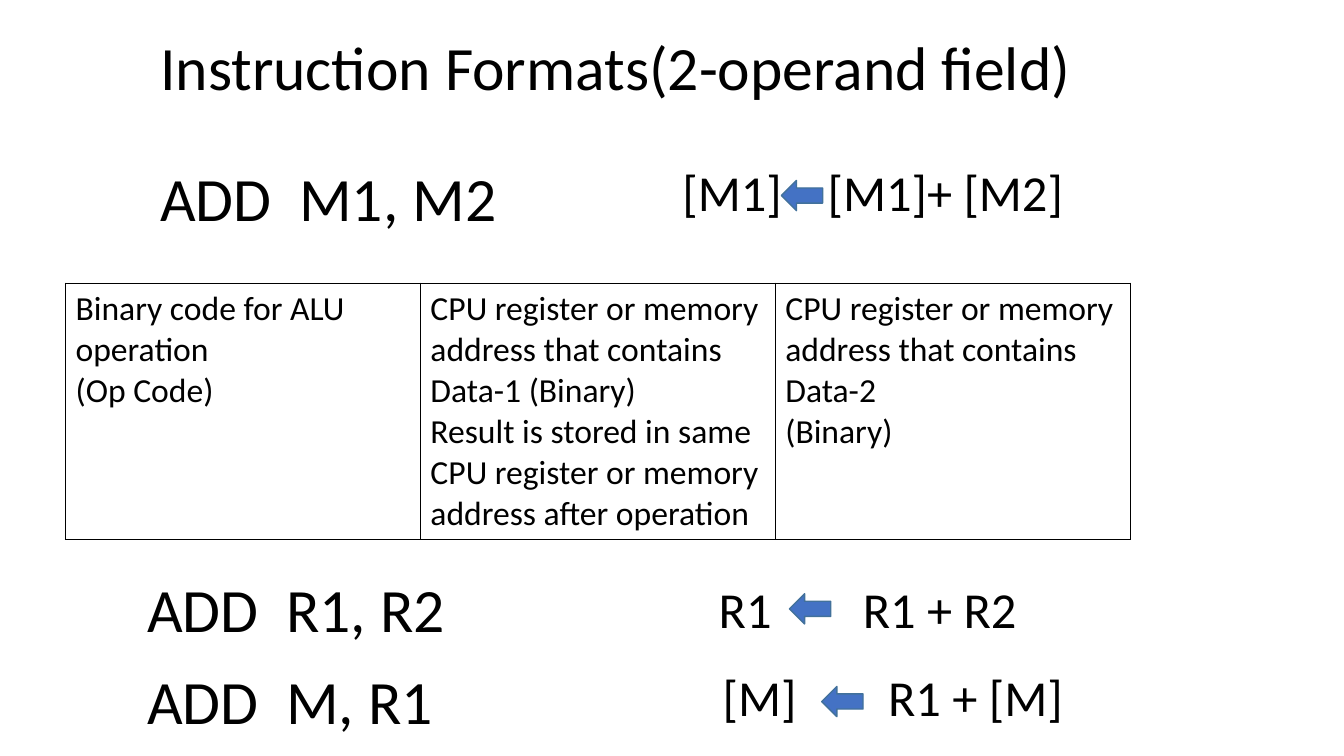
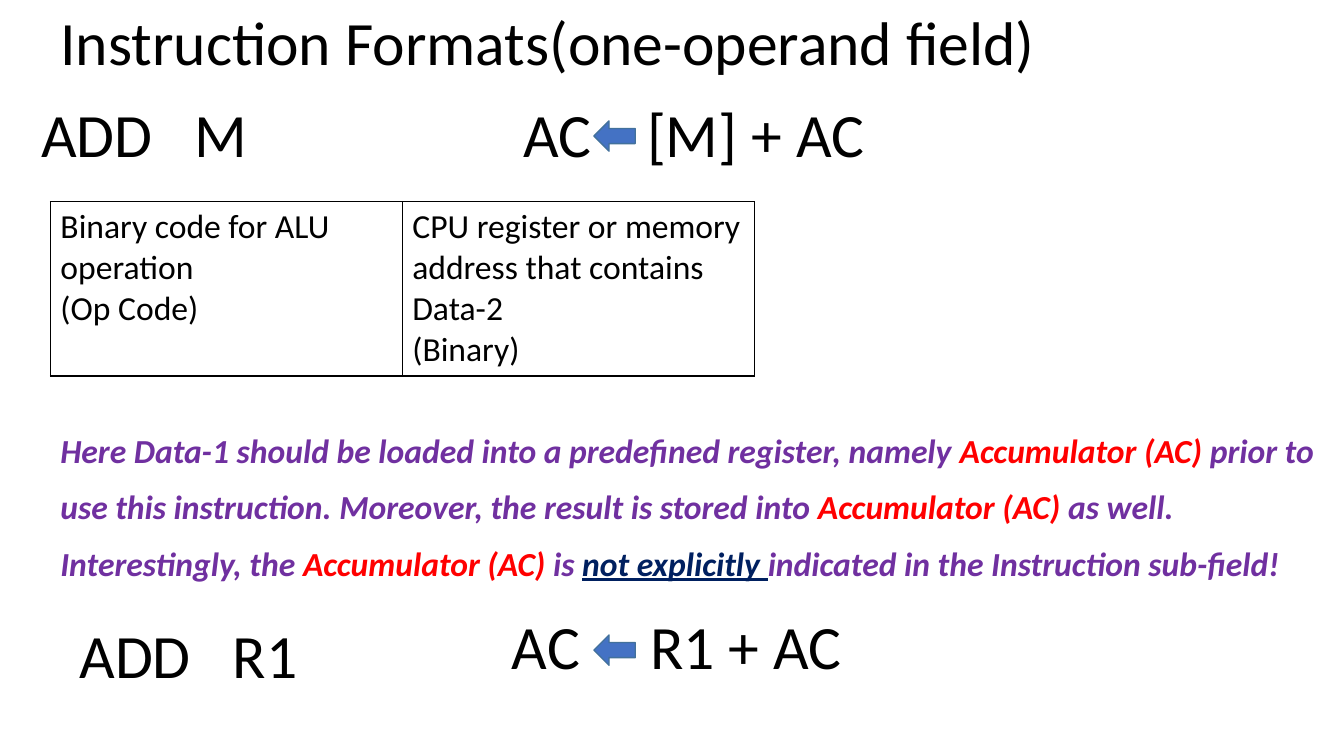
import pptx
import pptx.util
import pptx.dml.color
import pptx.enum.shapes
import pptx.enum.text
import pptx.oxml.ns
from lxml import etree

Inches = pptx.util.Inches
Pt = pptx.util.Pt

COLOURS = {
    "text": "000000",
    "arrow": "4472C4",
    "arrow_line": "42719B",
    "note": "7030A0",
    "accumulator": "FF0000",
    "emphasis": "002060",
}
FONT = "Calibri"
TITLE_ONLY = 5
ROW_HEIGHT = 0.91

OP_CODE = ["Binary code for ALU operation", "(Op Code)"]
FIRST_OPERAND = [
    "CPU register or memory address that contains Data-1 (Binary)",
    "Result is stored in same CPU register or memory address after operation",
]
SECOND_OPERAND = ["CPU register or memory address that contains Data-2", "(Binary)"]


def rgb(name):
    return pptx.dml.color.RGBColor.from_string(COLOURS[name])


def add_child(parent, tag, **attributes):
    child = etree.SubElement(parent, pptx.oxml.ns.qn(tag))
    for key, value in attributes.items():
        child.set(key, str(value))
    return child


def write(para, text, size=44, colour="text", bold=False, italic=False,
          underline=False, spacing=None, tab=None):
    """Append a formatted run; tab is a stop in inches from the text's left edge."""
    if tab:
        stops = add_child(para._p.get_or_add_pPr(), "a:tabLst")
        add_child(stops, "a:tab", pos=Inches(tab), algn="l")
    if spacing:
        para.line_spacing = spacing
    span = para.add_run()
    span.text = text
    font = span.font
    font.name = FONT
    font.size = Pt(size)
    font.bold = bold
    font.italic = italic
    font.underline = underline
    font.color.rgb = rgb(colour)


def prepare_frame(box):
    """Set the wrapping and alignment shared by titles and text boxes."""
    frame = box.text_frame
    frame.word_wrap = True
    frame.auto_size = pptx.enum.text.MSO_AUTO_SIZE.NONE
    frame.vertical_anchor = pptx.enum.text.MSO_ANCHOR.MIDDLE
    para = frame.paragraphs[0]
    para.alignment = pptx.enum.text.PP_ALIGN.LEFT
    return para


def add_page(deck, title, left, top, width):
    page = deck.slides.add_slide(deck.slide_layouts[TITLE_ONLY])
    box = page.shapes.title
    box.left, box.top = Inches(left), Inches(top)
    box.width, box.height = Inches(width), Inches(ROW_HEIGHT)
    write(prepare_frame(box), title, spacing=0.9)
    return page


def add_box(page, left, top, width, height):
    box = page.shapes.add_textbox(
        Inches(left), Inches(top), Inches(width), Inches(height))
    return prepare_frame(box)


def add_line(page, text, left, top, width, height=ROW_HEIGHT, **style):
    write(add_box(page, left, top, width, height), text, spacing=0.9, **style)


def add_arrow(page, left, top):
    arrow = page.shapes.add_shape(
        pptx.enum.shapes.MSO_SHAPE.LEFT_ARROW,
        Inches(left), Inches(top), Inches(0.41), Inches(0.3))
    arrow.shadow.inherit = False
    arrow.fill.solid()
    arrow.fill.fore_color.rgb = rgb("arrow")
    arrow.line.color.rgb = rgb("arrow_line")
    arrow.line.width = Pt(1)


def add_borders(cell):
    properties = cell._tc.get_or_add_tcPr()
    for position, side in enumerate(("a:lnL", "a:lnR", "a:lnT", "a:lnB")):
        line = etree.Element(pptx.oxml.ns.qn(side), w=str(Pt(1)))
        add_child(add_child(line, "a:solidFill"), "a:srgbClr", val=COLOURS["text"])
        properties.insert(position, line)


def add_field_table(page, fields, left, top, column_width, height):
    """Draw the instruction fields as one bordered row."""
    table = page.shapes.add_table(
        1, len(fields), Inches(left), Inches(top),
        Inches(column_width * len(fields)), Inches(height)).table
    table.first_row = False
    table.horz_banding = False
    for column, (cell, lines) in enumerate(zip(table.rows[0].cells, fields)):
        table.columns[column].width = Inches(column_width)
        cell.fill.background()
        add_borders(cell)
        frame = cell.text_frame
        for index, line in enumerate(lines):
            para = frame.add_paragraph() if index else frame.paragraphs[0]
            write(para, line, size=24)


def add_accumulator_note(page):
    para = add_box(page, 0.5, 3.81, 12.83, 2.27)
    para.line_spacing = 1.4
    for text, colour in (
        ("Here Data-1 should be loaded into a predefined register, namely ", "note"),
        ("Accumulator (AC)", "accumulator"),
        (" prior to use this instruction. Moreover, the result is stored into ", "note"),
        ("Accumulator (AC) ", "accumulator"),
        ("as well. Interestingly, the ", "note"),
        ("Accumulator (AC) ", "accumulator"),
        ("is ", "note"),
        ("not explicitly ", "emphasis"),
        ("indicated in the Instruction sub-field!", "note"),
    ):
        write(para, text, size=24, colour=colour, bold=True, italic=True,
              underline=colour == "emphasis")


def add_two_operand_page(deck):
    page = add_page(deck, "Instruction Formats(2-operand field)", 1.49, 0.25, 9.7)
    add_field_table(page, [OP_CODE, FIRST_OPERAND, SECOND_OPERAND],
                    0.65, 2.81, 3.52, 2.54)
    for text, left, top in (
        ("ADD\tM1, M2", 1.49, 1.54),
        ("ADD\tR1, R2", 1.36, 5.62),
        ("ADD\tM, R1", 1.36, 6.53),
    ):
        add_line(page, text, left, top, 4.45, tab=1.38)
    for text, left, top, tab, arrow_left, arrow_top in (
        ("[M1]\t[M1]+ [M2]", 6.67, 1.63, 1.44, 7.75, 1.79),
        ("R1\tR1 + R2", 7.03, 5.77, 1.43, 7.83, 5.89),
        ("[M]\tR1 + [M]", 7.07, 6.64, 1.64, 8.15, 6.81),
    ):
        add_line(page, text, left, top, 4.17, 0.61, size=36, tab=tab)
        add_arrow(page, arrow_left, arrow_top)


def add_one_operand_page(deck):
    page = add_page(deck, "Instruction Formats(one-operand field)", 0.5, 0, 11.96)
    add_field_table(page, [OP_CODE, SECOND_OPERAND], 0.5, 2, 3.49, 1.73)
    add_accumulator_note(page)
    for text, left, top in (("ADD\tM", 0.31, 0.91), ("ADD\tR1", 0.69, 6.08)):
        add_line(page, text, left, top, 2.87, tab=1.52)
    for text, left, top, tab, arrow_top in (
        ("AC\t[M] + AC", 5.09, 0.91, 1.23, 1.2),
        ("AC\tR1 + AC", 4.98, 5.99, 1.37, 6.3),
    ):
        add_line(page, text, left, top, 5.66, tab=tab)
        add_arrow(page, 5.89, arrow_top)


def main():
    deck = pptx.Presentation()
    deck.slide_width, deck.slide_height = Inches(13.33), Inches(7.5)
    add_two_operand_page(deck)
    add_one_operand_page(deck)
    deck.save("out.pptx")


if __name__ == "__main__":
    main()
